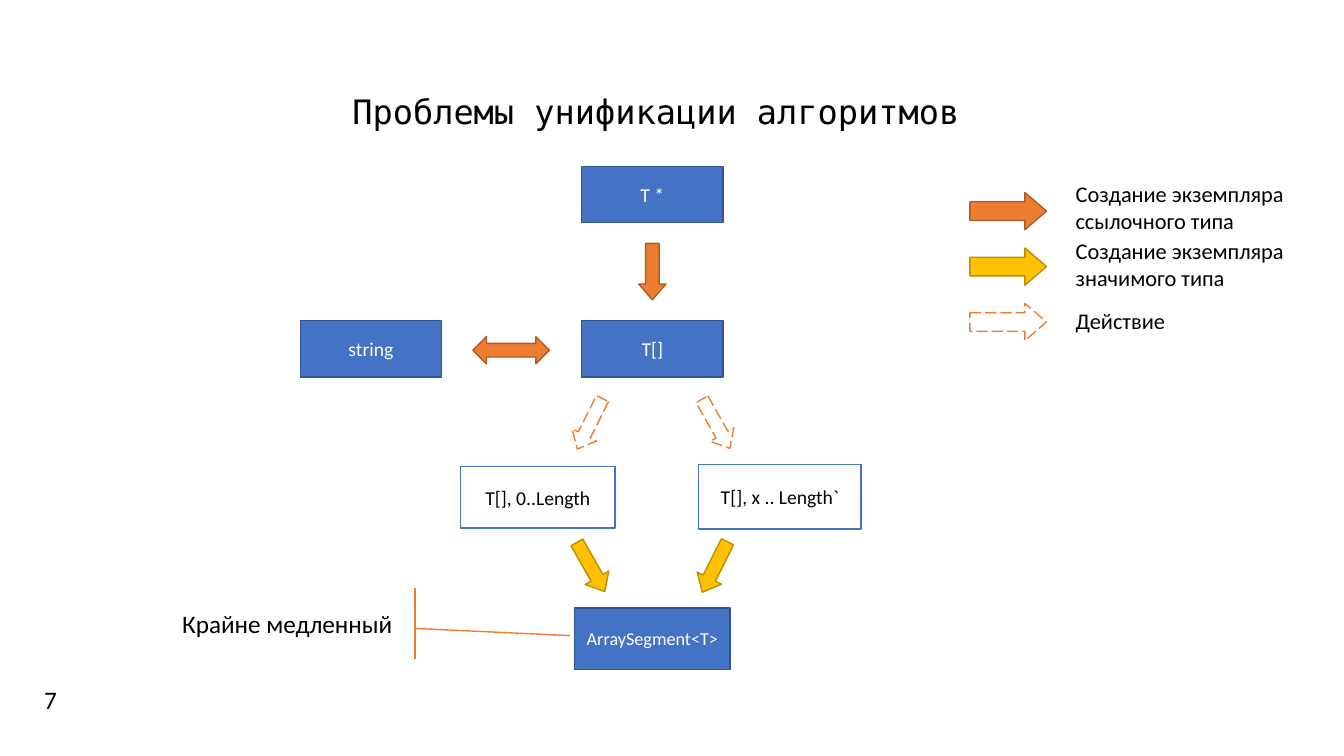
from dataclasses import dataclass

from pptx import Presentation
from pptx import util as u
from pptx.dml.color import RGBColor
from pptx.enum import dml, shapes, text

SHAPE = shapes.MSO_SHAPE
ALIGN = text.PP_ALIGN


@dataclass(frozen=True)
class Theme:
    # Colours as (fill, line) pairs
    type_box: tuple = ("4472C4", "325491")
    range_box: tuple = ("FFFFFF", "4472C4")
    reference: tuple = ("ED7D31", "AF5C24")
    value: tuple = ("FFC000", "BD8E00")
    action: tuple = ("FFFFFF", "ED7D31")
    dark: str = "000000"
    light: str = "FFFFFF"
    # Fonts and sizes in points
    body_font: str = "Calibri"
    title_font: str = "DejaVu Sans Mono"
    title: int = 24
    note: int = 18
    legend: int = 16
    box: int = 14
    small: int = 13
    line: int = 1


class Diagram:
    def __init__(self, slide, theme):
        self.slide, self.theme = slide, theme

    def put_text(self, frame, words, size, color, align, font=None, **frame_format):
        for name, value in frame_format.items():
            setattr(frame, name, value)
        paragraph = frame.paragraphs[0]
        paragraph.alignment = align
        run = paragraph.add_run()
        run.text = words
        font_format = {"name": font or self.theme.body_font, "size": u.Pt(size)}
        for name, value in font_format.items():
            setattr(run.font, name, value)
        run.font.color.rgb = RGBColor.from_string(color)

    def label(self, at, words, size, align=ALIGN.LEFT, font=None, wrap=True):
        box = self.slide.shapes.add_textbox(*map(u.Inches, at))
        self.put_text(box.text_frame, words, size, self.theme.dark, align, font,
                      word_wrap=wrap, auto_size=text.MSO_AUTO_SIZE.SHAPE_TO_FIT_TEXT)

    def shape(self, kind, at, colors, adjust=(), **shape_format):
        item = self.slide.shapes.add_shape(kind, *map(u.Inches, at))
        item.shadow.inherit = False
        fill, line = map(RGBColor.from_string, colors)
        item.fill.solid()
        item.fill.fore_color.rgb = fill
        item.line.color.rgb = line
        item.line.width = u.Pt(self.theme.line)
        for index, value in enumerate(adjust):
            item.adjustments[index] = value
        for name, value in shape_format.items():
            setattr(item, name, value)
        return item

    def box(self, at, words, colors, color, size, kind=SHAPE.RECTANGLE, adjust=()):
        item = self.shape(kind, at, colors, adjust)
        self.put_text(item.text_frame, words, size, color, ALIGN.CENTER,
                      word_wrap=True, vertical_anchor=text.MSO_ANCHOR.MIDDLE)

    def arrow(self, at, colors, rotation=0):
        item = self.shape(SHAPE.RIGHT_ARROW, at, colors, (0.5, 0.58),
                          rotation=rotation)
        if colors == self.theme.action:
            item.line.dash_style = dml.MSO_LINE.LONG_DASH


def main():
    deck = Presentation()
    deck.slide_width, deck.slide_height = u.Inches(13.33), u.Inches(7.5)
    theme = Theme()
    diagram = Diagram(deck.slides.add_slide(deck.slide_layouts[6]), theme)

    # Title and page number
    diagram.label((3.1, 0.85, 6.81, 0.5), "Проблемы унификации алгоритмов",
                  theme.title, ALIGN.CENTER, theme.title_font)
    diagram.label((0.34, 6.74, 0.33, 0.4), "7", theme.note, wrap=False)

    # Types
    for left, top, words in ((5.77, 1.65, "T *"), (5.77, 3.18, "T[]"),
                             (2.98, 3.18, "string")):
        diagram.box((left, top, 1.4, 0.56), words, theme.type_box,
                    theme.light, theme.box)
    diagram.box((5.7, 6.03, 1.54, 0.61), "ArraySegment<T>", theme.type_box,
                theme.light, theme.small)

    # Ranges of the array
    for at, words in (((4.57, 4.63, 1.53, 0.61), "T[], 0..Length"),
                      ((6.93, 4.61, 1.61, 0.64), "T[], x .. Length`")):
        diagram.box(at, words, theme.range_box, theme.dark, theme.box)

    # Arrows between the boxes
    down, down_left, down_right = 90, 116.6, 60.4
    for left, top, colors, rotation in (
        (6.19, 2.56, theme.reference, down),
        (5.57, 4.07, theme.action, down_left),
        (6.82, 4.07, theme.action, down_right),
        (6.81, 5.49, theme.value, down_left),
        (5.58, 5.49, theme.value, down_right),
    ):
        diagram.arrow((left, top, 0.56, 0.27), colors, rotation)
    diagram.shape(SHAPE.LEFT_RIGHT_ARROW, (4.69, 3.34, 0.76, 0.27), theme.reference)

    # Remark on ArraySegment
    diagram.box((1.61, 5.83, 2.48, 0.71), "Крайне медленный", theme.action,
                theme.dark, theme.note, SHAPE.LINE_CALLOUT_1_ACCENT_BAR,
                (0.57, 1.01, 0.67, 1.63))

    # Legend
    for row, (colors, label_top, label_height, words) in enumerate((
        (theme.reference, 1.74, 0.64, "Создание экземпляра ссылочного типа"),
        (theme.value, 2.3, 0.64, "Создание экземпляра значимого типа"),
        (theme.action, 3, 0.37, "Действие"),
    )):
        diagram.arrow((9.62, 1.91 + 0.55 * row, 0.76, 0.37), colors)
        diagram.label((10.57, label_top, 2.58, label_height), words, theme.legend)

    deck.save("out.pptx")


if __name__ == "__main__":
    main()
